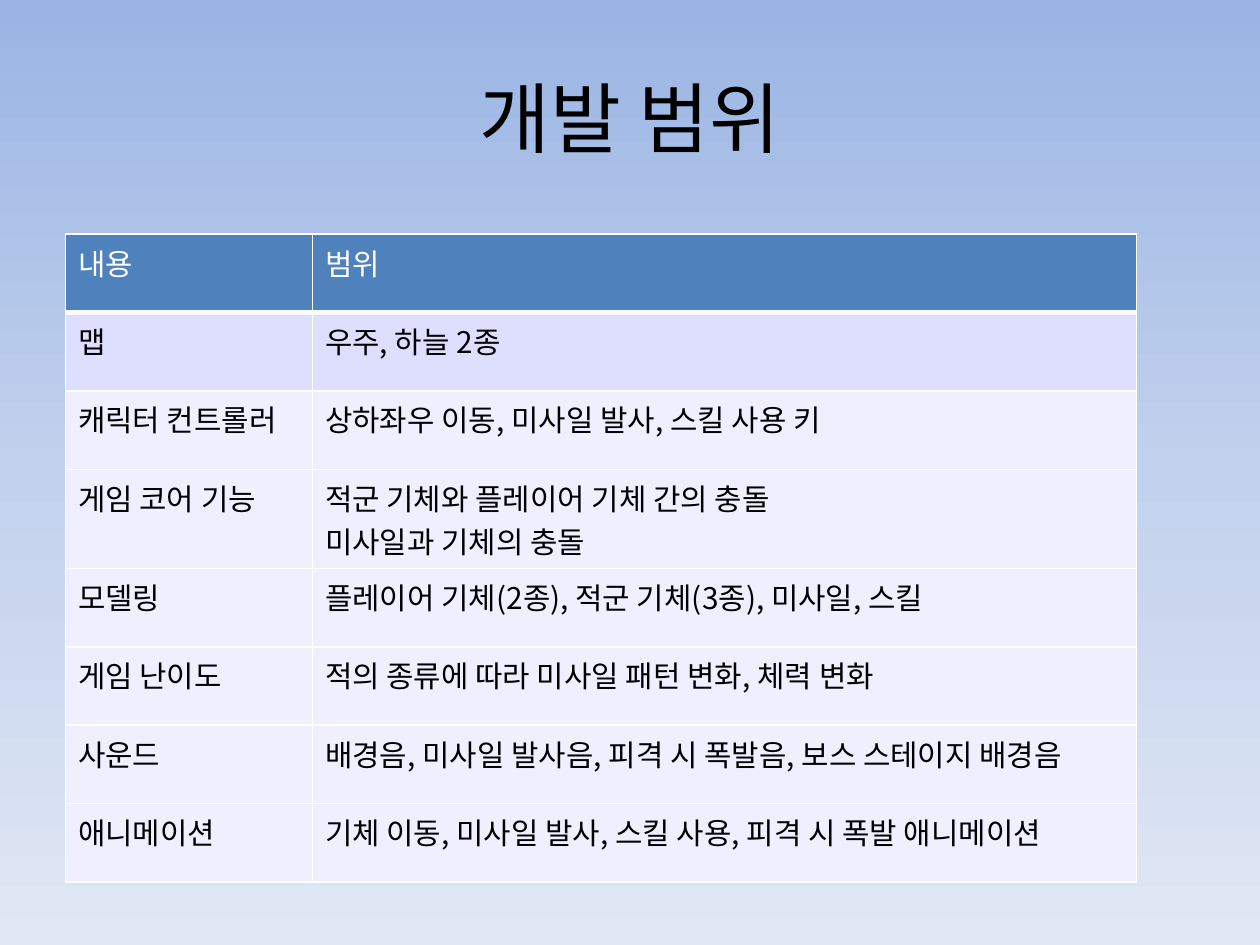
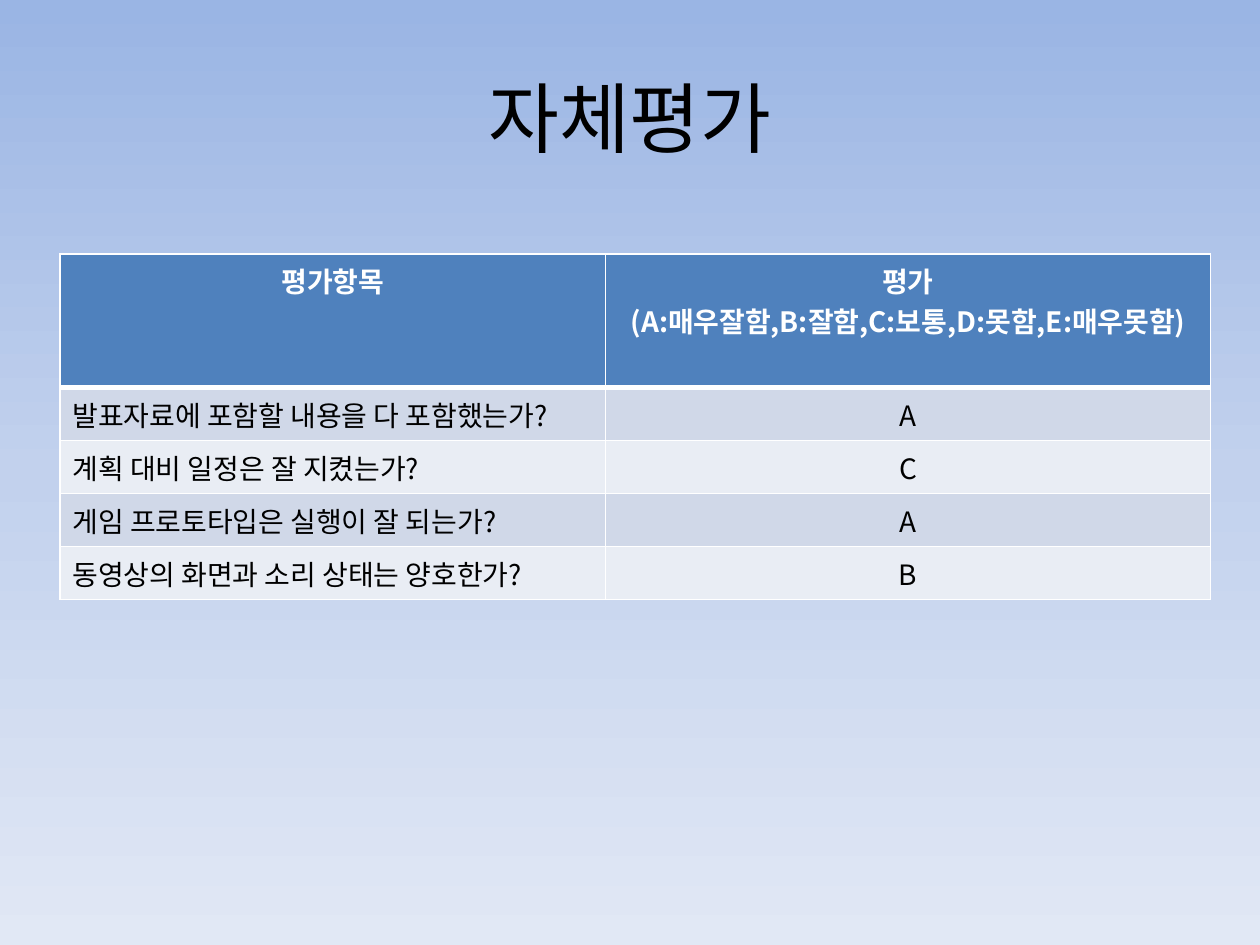
import copy
from dataclasses import dataclass

import pptx
import pptx.dml.color
import pptx.enum.text
import pptx.oxml
import pptx.oxml.ns
import pptx.util
from pptx.util import Cm

ALIGN = pptx.enum.text.PP_ALIGN


@dataclass(frozen=True)
class Theme:
    font: str = "Noto Sans CJK KR"
    ink: str = "000000"
    paper: str = "FFFFFF"
    header: str = "4F81BD"
    lilac: tuple = ("DEDEFF", "EFEFFF")
    steel: tuple = ("D0D8E8", "E9EDF4")
    sky: tuple = ((0, "9AB5E4"), (0.5, "C2D1ED"), (1, "E1E8F5"))
    title_size: int = 44
    scope_size: int = 17
    review_size: int = 16
    thin: int = 1
    thick: int = 3


THEME = Theme()


def rgb(value):
    return pptx.dml.color.RGBColor.from_string(value)


def write(tf, text, size, color=THEME.ink, bold=False, align=ALIGN.LEFT, hang=None):
    """Fill a text frame, one paragraph for each line of text."""
    for i, line in enumerate(text.split("\n")):
        p = tf.paragraphs[0] if i == 0 else tf.add_paragraph()
        p.alignment = align
        if hang:
            pPr = p._p.get_or_add_pPr()
            pPr.set("marL", str(hang))
            pPr.set("indent", str(-hang))
        r = p.add_run()
        r.text = line
        r.font.size = pptx.util.Pt(size)
        r.font.bold = bold
        r.font.color.rgb = rgb(color)
        r.font.name = THEME.font


def paint_background(master):
    """Vertical gradient shared by all slides."""
    fill = master.background.fill
    fill.gradient()
    fill.gradient_angle = 270
    stops = master.element.find(".//" + pptx.oxml.ns.qn("a:gsLst"))
    stops.append(copy.deepcopy(stops[-1]))
    for stop, (position, color) in zip(fill.gradient_stops, THEME.sky):
        stop.position = position
        stop.color.rgb = rgb(color)


def add_title(s, text, box):
    tf = s.shapes.add_textbox(*map(Cm, box)).text_frame
    tf.word_wrap = True
    tf.vertical_anchor = pptx.enum.text.MSO_ANCHOR.MIDDLE
    write(tf, text, THEME.title_size, align=ALIGN.CENTER)


def set_borders(cell, top, bottom):
    """White cell borders; top and bottom widths are in points."""
    tcPr = cell._tc.get_or_add_tcPr()
    for side, width in zip("LRTB", (THEME.thin, THEME.thin, top, bottom)):
        tcPr.append(pptx.oxml.parse_xml(
            f'<a:ln{side} {pptx.oxml.ns.nsdecls("a")} w="{pptx.util.Pt(width)}">'
            f'<a:solidFill><a:srgbClr val="{THEME.paper}"/></a:solidFill>'
            f'</a:ln{side}>'))


def add_grid(s, rows, left, top, widths, heights, size, fill_for, format_for):
    """Table whose header is ruled off by a thick line."""
    table = s.shapes.add_table(
        len(rows), len(widths), Cm(left), Cm(top),
        Cm(sum(widths)), Cm(sum(heights))).table
    table.horz_banding = False
    for column, width in zip(table.columns, widths):
        column.width = Cm(width)
    for i, row in enumerate(rows):
        table.rows[i].height = Cm(heights[i])
        for j, text in enumerate(row):
            cell = table.cell(i, j)
            set_borders(cell, THEME.thick if i == 1 else THEME.thin,
                        THEME.thick if i == 0 else THEME.thin)
            cell.fill.solid()
            cell.fill.fore_color.rgb = rgb(fill_for(i) if i else THEME.header)
            write(cell.text_frame, text, size,
                  color=THEME.ink if i else THEME.paper, **format_for(i, j))


def scope_table(s, rows, left, top):
    """Left-aligned table; the first body row is darker."""
    heights = [2 if "\n" in scope else 1.58 for _, scope in rows]
    add_grid(s, rows, left, top, (4.98, 16.61), heights, THEME.scope_size,
             fill_for=lambda i: THEME.lilac[i > 1],
             format_for=lambda i, j: {"hang": Cm(0.97) if i > 1 and j else None})


def review_table(s, rows, left, top):
    """Banded table with a tall bold header and centred grades."""
    heights = [2.69] + [1.07] * (len(rows) - 1)
    add_grid(s, rows, left, top, (11, 12.19), heights, THEME.review_size,
             fill_for=lambda i: THEME.steel[(i - 1) % 2],
             format_for=lambda i, j: {
                 "bold": i == 0,
                 "align": ALIGN.CENTER if i == 0 or j else ALIGN.LEFT})


SCOPE = [
    ("내용", "범위"),
    ("맵", "우주, 하늘 2종"),
    ("캐릭터 컨트롤러", "상하좌우 이동, 미사일 발사, 스킬 사용 키"),
    ("게임 코어 기능", "적군 기체와 플레이어 기체 간의 충돌\n미사일과 기체의 충돌"),
    ("모델링", "플레이어 기체(2종), 적군 기체(3종), 미사일, 스킬"),
    ("게임 난이도", "적의 종류에 따라 미사일 패턴 변화, 체력 변화"),
    ("사운드", "배경음, 미사일 발사음, 피격 시 폭발음, 보스 스테이지 배경음"),
    ("애니메이션", "기체 이동, 미사일 발사, 스킬 사용, 피격 시 폭발 애니메이션"),
]
REVIEW = [
    ("평가항목", "평가\n(A:매우잘함,B:잘함,C:보통,D:못함,E:매우못함)"),
    ("발표자료에 포함할 내용을 다 포함했는가?", "A"),
    ("계획 대비 일정은 잘 지켰는가?", "C"),
    ("게임 프로토타입은 실행이 잘 되는가?", "A"),
    ("동영상의 화면과 소리 상태는 양호한가?", "B"),
]

prs = pptx.Presentation()
prs.slide_width, prs.slide_height = Cm(25.4), Cm(19.05)
paint_background(prs.slide_master)

for title, build, rows, left, top in (
        ("개발 범위", scope_table, SCOPE, 1.32, 4.72),
        ("자체평가", review_table, REVIEW, 1.21, 5.12)):
    s = prs.slides.add_slide(prs.slide_layouts[6])
    add_title(s, title, (1.27, 0.76, 22.86, 3.18))
    build(s, rows, left, top)

prs.save("out.pptx")
